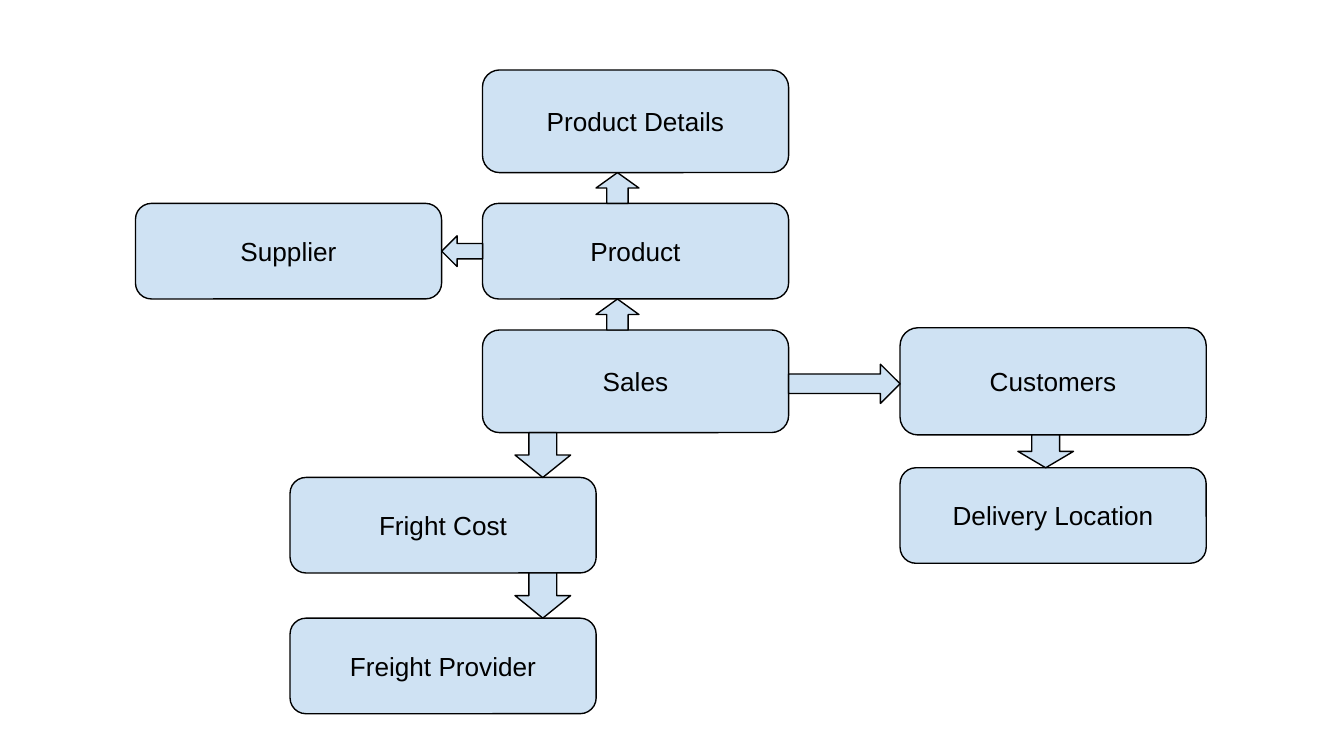
from pptx import Presentation
from pptx.dml.color import RGBColor
from pptx.enum.shapes import MSO_SHAPE
from pptx.enum.text import MSO_ANCHOR, PP_ALIGN
from pptx.util import Pt

ROUNDED = MSO_SHAPE.ROUNDED_RECTANGLE
UP, DOWN = MSO_SHAPE.UP_ARROW, MSO_SHAPE.DOWN_ARROW
LEFT, RIGHT = MSO_SHAPE.LEFT_ARROW, MSO_SHAPE.RIGHT_ARROW
MIDDLE, CENTER = MSO_ANCHOR.MIDDLE, PP_ALIGN.CENTER


def color(hex_string):
    return RGBColor.from_string(hex_string)


class Diagram:
    FILL, INK = "CFE2F3", "000000"
    FONT, TEXT_SIZE = "Arial", 14
    LINE_WIDTH, INSET = 0.75, 7.2
    BOX_WIDTH = 164

    def __init__(self, slide):
        self.slide = slide

    def outlined(self, kind, left, top, width, height):
        """Add a preset shape in the diagram's fill and outline."""
        shape = self.slide.shapes.add_shape(kind, left, top, width, height)
        shape.shadow.inherit = False
        shape.fill.solid()
        shape.fill.fore_color.rgb = color(self.FILL)
        shape.line.color.rgb = color(self.INK)
        shape.line.width = Pt(self.LINE_WIDTH)
        return shape

    def entity(self, label, left, top, height):
        box = self.outlined(ROUNDED, Pt(left), Pt(top), Pt(self.BOX_WIDTH), Pt(height))
        frame = box.text_frame
        frame.word_wrap = True
        frame.vertical_anchor = MIDDLE
        frame.margin_left = frame.margin_right = Pt(self.INSET)
        frame.margin_top = frame.margin_bottom = Pt(self.INSET)
        paragraph = frame.paragraphs[0]
        paragraph.alignment = CENTER
        run = paragraph.add_run()
        run.text = label
        run.font.name = self.FONT
        run.font.size = Pt(self.TEXT_SIZE)
        run.font.color.rgb = color(self.INK)
        return box

    def vertical_arrow(self, kind, upper, lower, center, thickness):
        """Fill the gap between two stacked boxes with an arrow."""
        top = upper.top + upper.height
        self.outlined(kind, Pt(center - thickness / 2), top, Pt(thickness), lower.top - top)

    def horizontal_arrow(self, kind, first, second, center, thickness):
        """Fill the gap between two side-by-side boxes with an arrow."""
        left = first.left + first.width
        self.outlined(kind, left, Pt(center - thickness / 2), second.left - left, Pt(thickness))


def main():
    deck = Presentation()
    deck.slide_width, deck.slide_height = Pt(720), Pt(405)
    diagram = Diagram(deck.slides.add_slide(deck.slide_layouts[6]))

    supplier_x, freight_x, sales_x, customer_x = 72.6, 155.4, 258.5, 482.2
    product_y = 109
    low, tall = 51.2, 55

    details = diagram.entity("Product Details", sales_x, 37.5, tall)
    product = diagram.entity("Product", sales_x, product_y, low)
    delivery = diagram.entity("Delivery Location", customer_x, 250.6, low)
    provider = diagram.entity("Freight Provider", freight_x, 331.2, low)
    freight_cost = diagram.entity("Fright Cost", freight_x, 255.8, low)
    sales = diagram.entity("Sales", sales_x, 176.8, tall)
    customers = diagram.entity("Customers", customer_x, 175.6, 57.4)
    supplier = diagram.entity("Supplier", supplier_x, product_y, low)

    for upper, lower in ((product, sales), (details, product)):
        diagram.vertical_arrow(UP, upper, lower, 330.8, 23)
    diagram.horizontal_arrow(LEFT, supplier, product, 134.6, 16.5)
    diagram.horizontal_arrow(RIGHT, sales, customers, 205.6, 21)
    diagram.vertical_arrow(DOWN, customers, delivery, 560.2, 29.8)
    for upper, lower in ((sales, freight_cost), (freight_cost, provider)):
        diagram.vertical_arrow(DOWN, upper, lower, 290.8, 29.8)

    deck.save("out.pptx")


if __name__ == "__main__":
    main()
